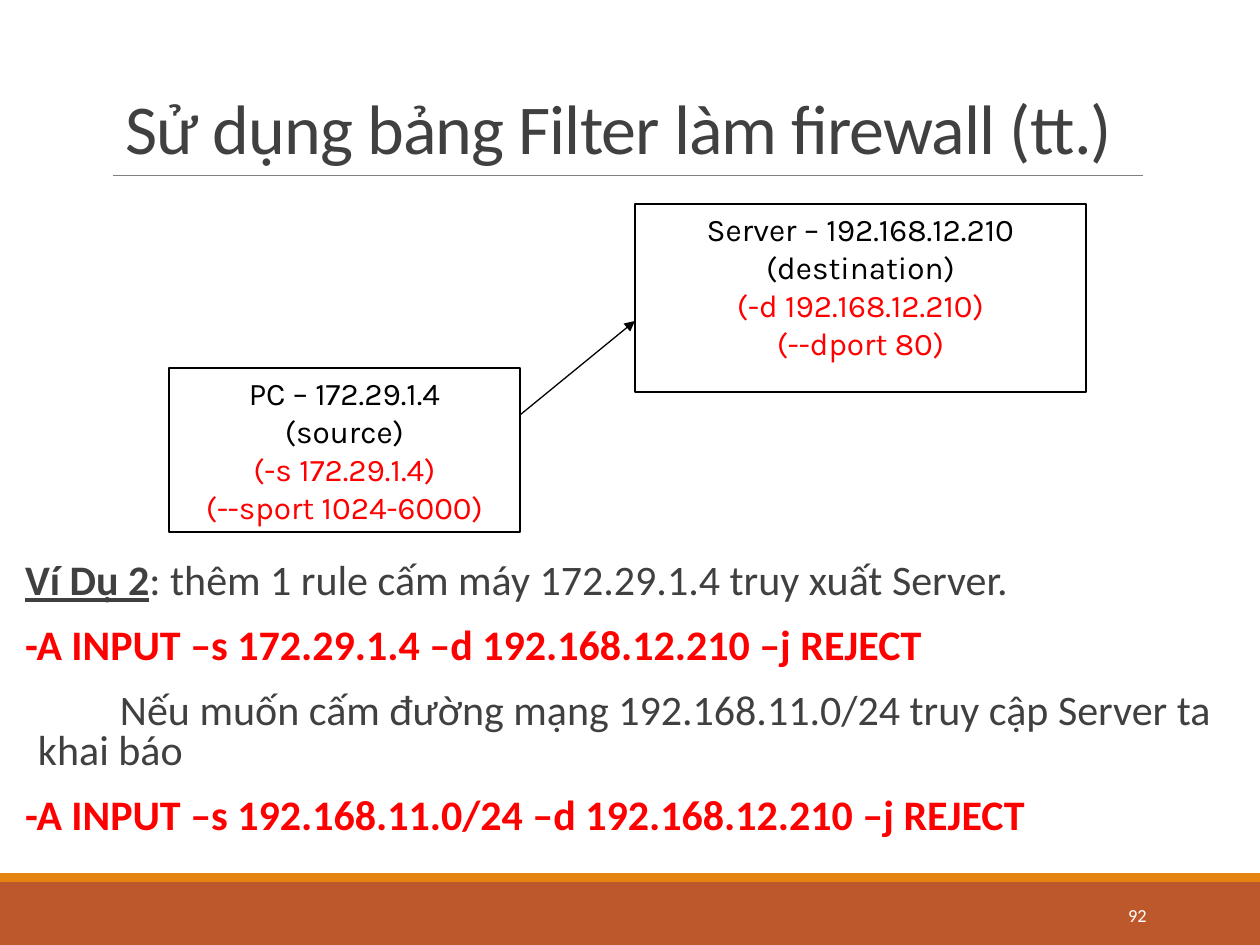
import pptx
import pptx.util
import pptx.dml.color
import pptx.enum.shapes
import pptx.enum.text
import pptx.oxml.ns
from lxml import etree

# Content: each line is a list of (text, colour, style) runs
TITLE = "Sử dụng bảng Filter làm firewall (tt.)"
NUMBER = "92"
HOSTS = [
    ((635, 204, 451, 188), ["Server – 192.168.12.210", "(destination)"],
     ["(-d 192.168.12.210)", "(--dport 80)"]),
    ((169, 368, 351, 164), ["PC – 172.29.1.4", "(source)"],
     ["(-s 172.29.1.4)", "(--sport 1024-6000)"]),
]
BODY = [  # first-line indent in px, runs
    (-13, [("Ví Dụ 2", "text", "bu"),
           (": thêm 1 rule cấm máy 172.29.1.4 truy xuất Server.", "text", "")]),
    (-13, [("-A INPUT –s 172.29.1.4 –d 192.168.12.210 –j REJECT", "red", "b")]),
    (82, [("Nếu muốn cấm đường mạng 192.168.11.0/24 truy cập Server ta khai báo",
           "text", "")]),
    (-13, [("-A INPUT –s 192.168.11.0/24 –d 192.168.12.210 –j REJECT", "red", "b")]),
]
BANDS = [((0, 882, 1260, 63), "rust"), ((0, 873, 1260, 9), "orange")]

THEME = {
    "color": {"text": "404040", "red": "FF0000", "black": "000000",
              "white": "FFFFFF", "rule": "808080", "rust": "BD582C",
              "orange": "E48312"},
    "size": {"title": 40, "body": 24, "host": 18, "number": 10.5},
    "font": {"main": "Calibri", "host": "Karla"},
}
SCALE = 914400 / 126
ALIGN = pptx.enum.text.PP_ALIGN
ANCHOR = pptx.enum.text.MSO_ANCHOR


def px(n):
    return pptx.util.Emu(round(n * SCALE))


def rgb(name):
    return pptx.dml.color.RGBColor.from_string(THEME["color"][name])


def style(run, size, color, face="main", flags=""):
    font = run.font
    font.name = THEME["font"][face]
    font.size = pptx.util.Pt(THEME["size"][size])
    font.color.rgb = rgb(color)
    font.bold = "b" in flags
    font.underline = "u" in flags


def add_box(slide, area, fill, line=None):
    box = slide.shapes.add_shape(
        pptx.enum.shapes.MSO_SHAPE.RECTANGLE, *map(px, area))
    box.shadow.inherit = False
    box.fill.solid()
    box.fill.fore_color.rgb = rgb(fill)
    if line:
        box.line.color.rgb = rgb(line)
        box.line.width = pptx.util.Pt(0.75)
    else:
        box.line.fill.background()
    return box


def add_text(slide, area, anchor):
    frame = slide.shapes.add_textbox(*map(px, area)).text_frame
    frame.word_wrap = True
    frame.vertical_anchor = anchor
    return frame


def add_line(slide, start, end, color, width, arrow=False):
    line = slide.shapes.add_connector(
        pptx.enum.shapes.MSO_CONNECTOR.STRAIGHT, *map(px, start + end))
    line.line.color.rgb = rgb(color)
    line.line.width = pptx.util.Pt(width)
    if arrow:
        etree.SubElement(line.line._get_or_add_ln(),
                         pptx.oxml.ns.qn("a:tailEnd"), type="triangle")
    etree.SubElement(line._element.spPr, pptx.oxml.ns.qn("a:effectLst"))


def add_host(slide, area, names, flags):
    frame = add_box(slide, area, "white", "black").text_frame
    frame.word_wrap = True
    frame.vertical_anchor = ANCHOR.TOP
    frame.text = "\n".join(names + flags)
    for i, para in enumerate(frame.paragraphs):
        para.alignment = ALIGN.CENTER
        color = "black" if i < len(names) else "red"
        style(para.runs[0], "host", color, "host")


def add_body(slide):
    frame = add_text(slide, (25, 557, 1216, 362), ANCHOR.TOP)
    frame.margin_left = frame.margin_right = 0
    for i, (indent, runs) in enumerate(BODY):
        para = frame.add_paragraph() if i else frame.paragraphs[0]
        para.line_spacing = 0.8
        para.space_before = pptx.util.Pt(12 if i else 0)
        para.space_after = pptx.util.Pt(2)
        props = para._p.get_or_add_pPr()
        props.set("marL", str(px(13)))
        props.set("indent", str(px(indent)))
        for text, color, flags in runs:
            run = para.add_run()
            run.text = text
            style(run, "body", color, flags=flags)


def main():
    deck = pptx.Presentation()
    deck.slide_width, deck.slide_height = px(1260), px(945)
    slide = deck.slides.add_slide(deck.slide_layouts[6])

    # Footer bands and title rule
    for area, fill in BANDS:
        add_box(slide, area, fill)
    add_line(slide, (113, 175), (1143, 175), "rule", 0.5)

    # Title
    para = add_text(slide, (113, 39, 1040, 136), ANCHOR.BOTTOM).paragraphs[0]
    para.text = TITLE
    para.line_spacing = 0.85
    style(para.runs[0], "title", "text")
    para.runs[0]._r.get_or_add_rPr().set("spc", "-50")

    # Example rules
    add_body(slide)

    # Host diagram
    for host in HOSTS:
        add_host(slide, *host)
    add_line(slide, (520, 415), (635, 321), "black", 0.75, arrow=True)

    # Slide number
    para = add_text(slide, (1023, 890, 136, 50), ANCHOR.MIDDLE).paragraphs[0]
    para.text = NUMBER
    para.alignment = ALIGN.RIGHT
    style(para.runs[0], "number", "white")

    deck.save("out.pptx")


if __name__ == "__main__":
    main()
